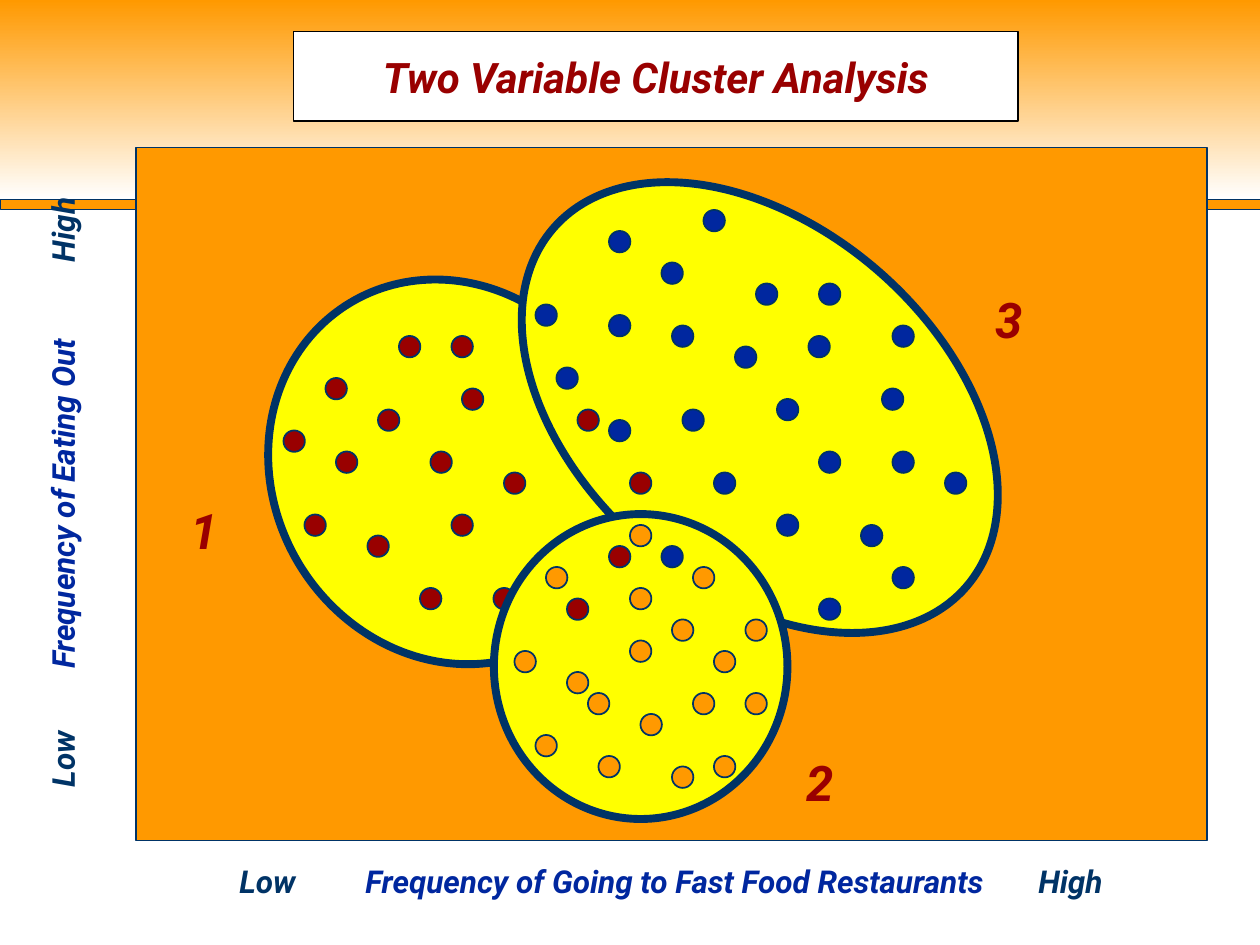
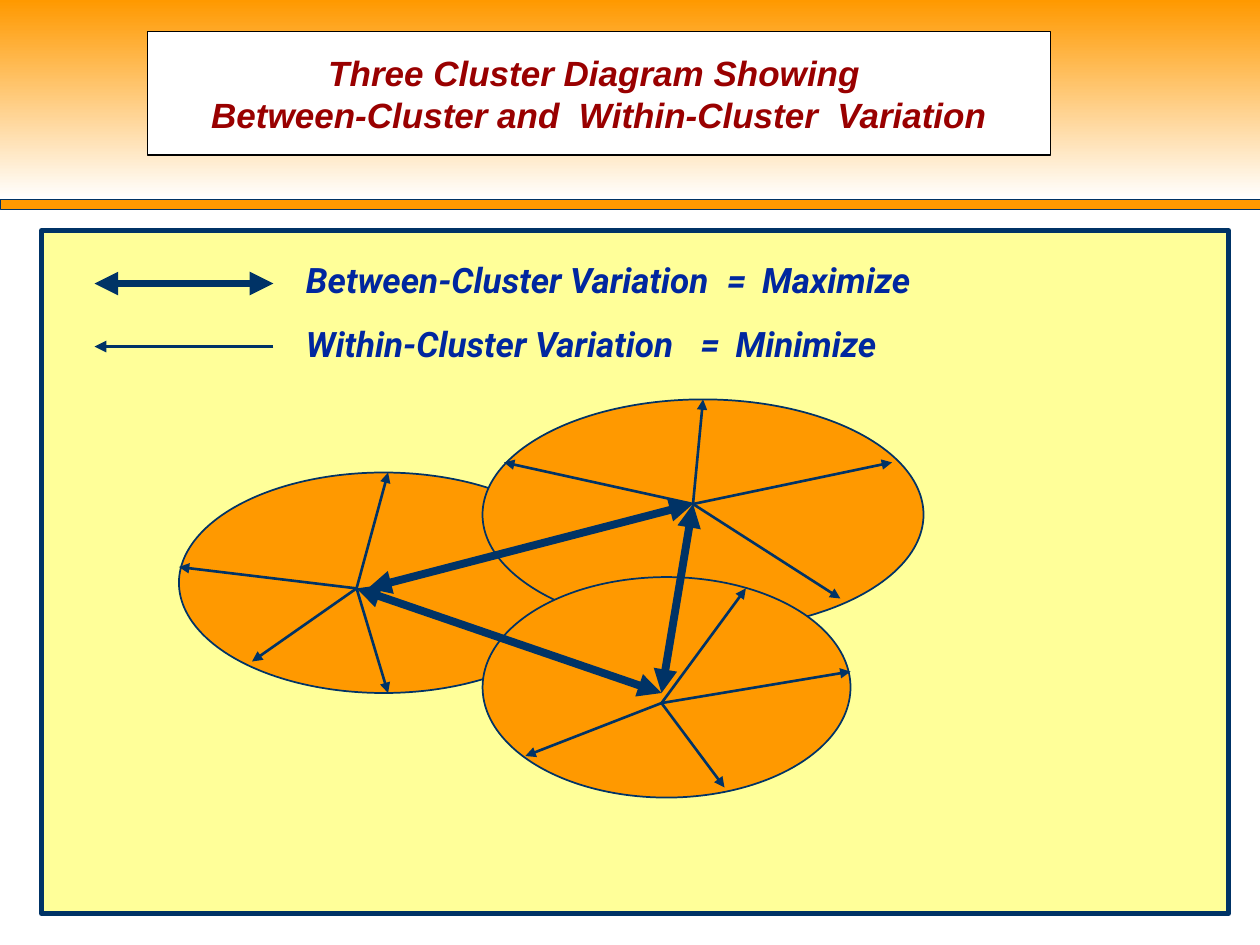
"""Build two slides on cluster analysis: a scatter of three clusters and their variation."""
from lxml import etree
from pptx import Presentation
from pptx import util as u
from pptx.dml.color import RGBColor
from pptx.enum import shapes, text
from pptx.oxml.ns import qn

NAVY = RGBColor(0x00, 0x33, 0x66)
BLUE = RGBColor(0x00, 0x27, 0x9F)
RED = RGBColor(0x99, 0x00, 0x00)
ORANGE = RGBColor(0xFF, 0x99, 0x00)
YELLOW = RGBColor(0xFF, 0xFF, 0x00)
CREAM = RGBColor(0xFF, 0xFF, 0x99)
WHITE = RGBColor(0xFF, 0xFF, 0xFF)
BLACK = RGBColor(0x00, 0x00, 0x00)

RECT = shapes.MSO_SHAPE.RECTANGLE
OVAL = shapes.MSO_SHAPE.OVAL
DOT = shapes.MSO_SHAPE.FLOWCHART_CONNECTOR
CENTER = text.PP_ALIGN.CENTER
LEFT = text.PP_ALIGN.LEFT

SCATTER_TITLE = {"words": "Two Variable Cluster Analysis", "at": (2.33, 0.25, 5.75, 0.71),
                 "size": 24, "font": "Roboto"}
VARIATION_TITLE = {
    "words": "Three Cluster Diagram Showing \vBetween-Cluster and  Within-Cluster  Variation",
    "at": (1.17, 0.25, 7.17, 0.98), "size": 20, "font": "Arial"}

SCATTER_PANEL = (1.08, 1.17, 8.5, 5.5)
BACK_CLUSTERS = [((2.17, 2.18, 2.83, 3.13), 329), ((3.86, 1.8, 4.34, 2.87), 41)]
FRONT_CLUSTERS = [((3.92, 4.08, 2.33, 2.42), 0)]
CLUSTER_NUMBERS = [("1", (1.33, 3.92, 0.58, 0.57)), ("3", (7.67, 2.25, 0.67, 0.57)),
                   ("2", (6.17, 5.92, 0.67, 0.57))]

DOTS_PER_INCH = 12
DOT_SIZE = 0.17
BACK_DOTS = {
    RED: [(41, 43), (47, 56), (36, 39), (43, 49), (48, 45), (40, 56), (35, 51), (44, 37),
          (31, 36), (38, 32), (27, 41), (29, 49), (32, 43), (43, 32), (60, 45), (55, 39)],
    BLUE: [(78, 27), (58, 22), (84, 37), (74, 49), (51, 29), (85, 31), (82, 50), (90, 45),
           (72, 27), (67, 20), (65, 39), (58, 30), (68, 45), (78, 57), (85, 43), (64, 31),
           (70, 33), (85, 54), (78, 43), (53, 35), (58, 40), (74, 38), (77, 32), (63, 25)],
}
FRONT_DOTS = {
    ORANGE: [(66, 66), (68, 62), (71, 66), (56, 66), (57, 72), (64, 73), (68, 72), (60, 56),
             (61, 68), (52, 54), (60, 50), (49, 62), (54, 64), (66, 54), (71, 59), (60, 61),
             (64, 59), (51, 70)],
    RED: [(54, 57), (58, 52)],
    BLUE: [(63, 52)],
}

AXES = [
    {"name": "Frequency of Going to Fast Food Restaurants", "at": (1.9, 6.83, 7.68, 0.33),
     "stops": (1.0, 6.34), "upright": False},
    {"name": "Frequency of Eating Out", "at": (0.33, 1.25, 0.33, 5.0),
     "stops": (0.94, 4.17), "upright": True},
]

VARIATION_PANEL = (0.33, 1.83, 9.42, 5.42)
LEGEND_AT = (2.33, 2, 6.92, 0.94)
LEGEND = [("Between-Cluster Variation\t=\tMaximize", (3.34, 3.62)),
          ("Within-Cluster Variation\t=\tMinimize", (3.13, 3.41))]
LEGEND_ARROWS = [((2.17, 2.25), (0.75, 2.25), 4.5, True),
                 ((2.17, 2.75), (0.75, 2.75), 2.25, False)]
VARIATION_CLUSTERS = [(1.42, 3.75, 3.25, 1.75), (3.83, 3.17, 3.5, 1.83),
                      (3.83, 4.58, 2.92, 1.75)]
BETWEEN = [((2.92, 4.67), (5.5, 4)), ((5.25, 5.5), (5.5, 4)), ((5.25, 5.5), (2.83, 4.67))]
WITHIN = {
    (2.83, 4.67): [(1.42, 4.5), (2, 5.25), (3.08, 5.5), (3.08, 3.75)],
    (5.5, 4): [(5.58, 3.17), (7.08, 3.67), (6.67, 4.75), (4, 3.67)],
    (5.25, 5.58): [(6.75, 5.33), (5.75, 6.25), (4.17, 6), (5.92, 4.67)],
}


def inches(values):
    return [u.Inches(value) for value in values]


def add_shape(page, kind, at, fill, line=NAVY, width=1.0, turn=0):
    shape = page.shapes.add_shape(kind, *inches(at))
    shape.shadow.inherit = False
    shape.rotation = turn
    shape.fill.solid()
    shape.fill.fore_color.rgb = fill
    shape.line.color.rgb = line
    shape.line.width = u.Pt(width)
    return shape


def style(span, size, color, font="Roboto"):
    for key, value in {"size": u.Pt(size), "name": font, "bold": True, "italic": True}.items():
        setattr(span.font, key, value)
    span.font.color.rgb = color


def add_span(para, words, size, color):
    span = para.add_run()
    span.text = words
    style(span, size, color)


def set_tabs(para, stops):
    tabs = etree.SubElement(para._p.get_or_add_pPr(), qn("a:tabLst"))
    for stop in stops:
        etree.SubElement(tabs, qn("a:tab"), pos=str(u.Inches(stop)), algn="l")


def add_text(page, at):
    frame = page.shapes.add_textbox(*inches(at)).text_frame
    frame.word_wrap = True
    return frame


def add_arrow(page, start, end, width, both=False):
    arrow = page.shapes.add_connector(shapes.MSO_CONNECTOR.STRAIGHT, *inches(start + end))
    arrow.line.color.rgb = NAVY
    arrow.line.width = u.Pt(width)
    line = arrow.line._get_or_add_ln()
    for tag in ("a:headEnd", "a:tailEnd") if both else ("a:tailEnd",):
        etree.SubElement(line, qn(tag), type="triangle")
    etree.SubElement(arrow._element.spPr, qn("a:effectLst"))


def add_page(deck, title):
    page = deck.slides.add_slide(deck.slide_layouts[6])
    add_shape(page, RECT, (0, 1.58, 10, 0.08), ORANGE, width=0.25)
    band = add_shape(page, RECT, (0, 0, 10, 1.58), ORANGE)
    band.line.fill.background()
    band.fill.gradient()
    band.fill.gradient_angle = 270
    for stop, color in zip(band.fill.gradient_stops, (ORANGE, WHITE)):
        stop.color.rgb = color
    frame = add_shape(page, RECT, title["at"], WHITE, BLACK, 0.75).text_frame
    frame.word_wrap = True
    frame.vertical_anchor = text.MSO_ANCHOR.MIDDLE
    frame.text = title["words"]
    para = frame.paragraphs[0]
    para.alignment = CENTER
    for span in para.runs:
        style(span, title["size"], RED, title["font"])
    return page


def add_layer(page, clusters, dots):
    for at, turn in clusters:
        add_shape(page, OVAL, at, YELLOW, width=4.5, turn=turn)
    for color, places in dots.items():
        for column, row in places:
            at = (column / DOTS_PER_INCH, row / DOTS_PER_INCH, DOT_SIZE, DOT_SIZE)
            add_shape(page, DOT, at, color)


def add_axis(page, axis):
    frame = add_text(page, axis["at"])
    for side in ("left", "right", "top", "bottom"):
        setattr(frame, f"margin_{side}", 0)
    frame.vertical_anchor = text.MSO_ANCHOR.MIDDLE
    if axis["upright"]:
        frame._txBody.bodyPr.set("vert", "vert270")
    para = frame.paragraphs[0]
    para.alignment = LEFT
    set_tabs(para, axis["stops"])
    for words, color in (("Low\t", NAVY), (axis["name"] + "\t", BLUE), ("High", NAVY)):
        add_span(para, words, 18, color)


def build_scatter(deck):
    page = add_page(deck, SCATTER_TITLE)
    add_shape(page, RECT, SCATTER_PANEL, ORANGE, width=0.75)
    add_layer(page, BACK_CLUSTERS, BACK_DOTS)
    add_layer(page, FRONT_CLUSTERS, FRONT_DOTS)
    for number, at in CLUSTER_NUMBERS:
        para = add_text(page, at).paragraphs[0]
        para.alignment = CENTER
        add_span(para, number, 28, RED)
    for axis in AXES:
        add_axis(page, axis)


def build_variation(deck):
    page = add_page(deck, VARIATION_TITLE)
    add_shape(page, RECT, VARIATION_PANEL, CREAM, width=3)
    frame = add_text(page, LEGEND_AT)
    for index, (words, stops) in enumerate(LEGEND):
        para = frame.add_paragraph() if index else frame.paragraphs[0]
        para.space_before = u.Pt(12.5)
        set_tabs(para, stops)
        add_span(para, words, 20, BLUE)
    for arrow in LEGEND_ARROWS:
        add_arrow(page, *arrow)
    for at in VARIATION_CLUSTERS:
        add_shape(page, OVAL, at, ORANGE)
    for start, end in BETWEEN:
        add_arrow(page, start, end, 4.5, both=True)
    for center, tips in WITHIN.items():
        for tip in tips:
            add_arrow(page, center, tip, 1.5)


def main():
    deck = Presentation()
    deck.slide_width, deck.slide_height = inches((10, 7.5))
    build_scatter(deck)
    build_variation(deck)
    deck.save("out.pptx")


if __name__ == "__main__":
    main()
